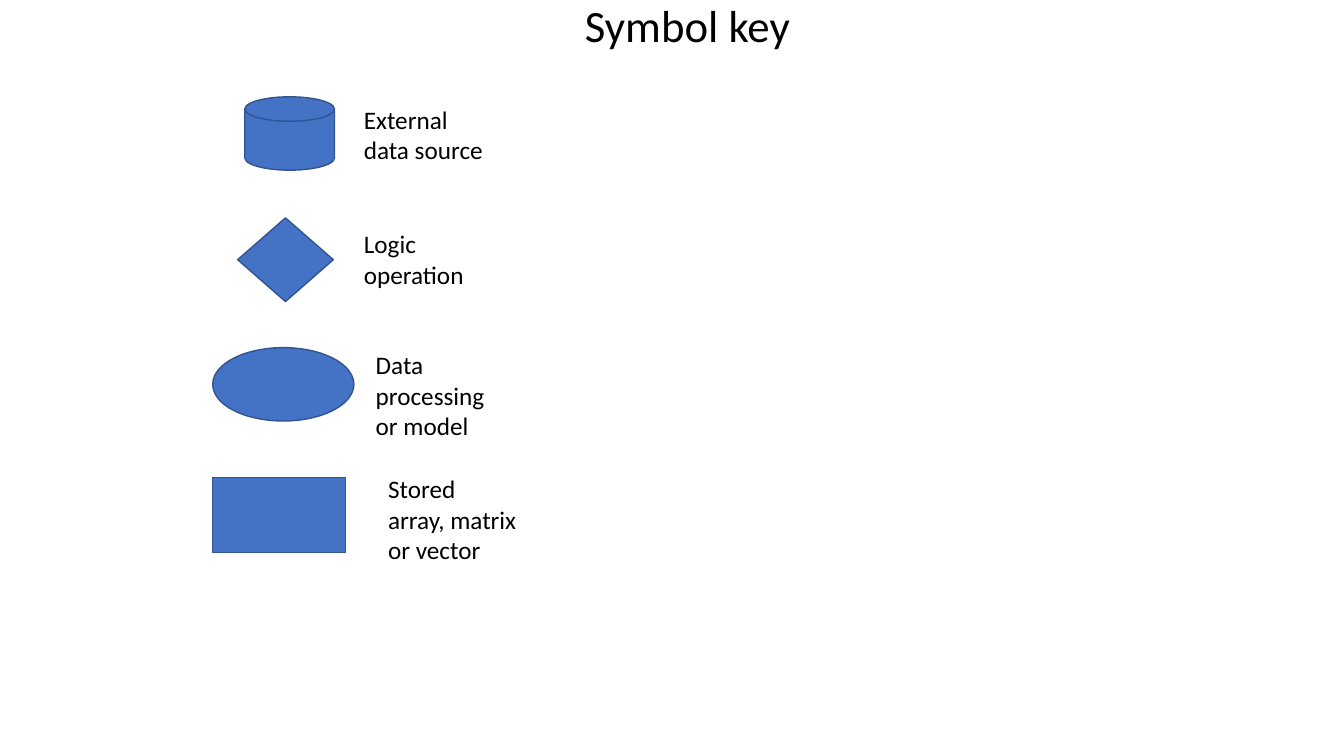
from pptx import Presentation
from pptx.dml.color import RGBColor
from pptx.enum.shapes import MSO_SHAPE
from pptx.enum.text import MSO_ANCHOR, PP_ALIGN
from pptx.util import Cm, Pt

DISK = MSO_SHAPE.FLOWCHART_MAGNETIC_DISK
DIAMOND = MSO_SHAPE.DIAMOND
OVAL = MSO_SHAPE.OVAL
RECTANGLE = MSO_SHAPE.RECTANGLE
TOP = MSO_ANCHOR.TOP
LEFT = PP_ALIGN.LEFT
CENTER = PP_ALIGN.CENTER

TITLE_ONLY = 5
FONT = "Calibri"
LABEL_WIDTH = 3.76

KEY = [
    (DISK, (6.17, 2.44, 2.26, 1.85), "External data source", (8.92, 2.51, 1.8)),
    (DIAMOND, (5.99, 5.49, 2.41, 2.11), "Logic operation", (8.92, 5.64, 1.8)),
    (OVAL, (5.36, 8.76, 3.56, 1.85), "Data processing or model", (9.22, 8.69, 2.57)),
    (RECTANGLE, (5.36, 12.04, 3.35, 1.88), "Stored array, matrix or vector", (9.53, 11.81, 2.57)),
]


def color(hex_value):
    return RGBColor.from_string(hex_value)


def write(shape, text, size, align):
    tf = shape.text_frame
    tf.word_wrap = True
    tf.vertical_anchor = TOP
    p = tf.paragraphs[0]
    p.text = text
    p.alignment = align
    p.font.name = FONT
    p.font.size = Pt(size)
    p.font.color.rgb = color("000000")


def add_title(s, text):
    title = s.shapes.title
    title.left, title.top, title.width, title.height = map(Cm, (13.31, -0.18, 8.03, 1.63))
    write(title, text, 32, CENTER)


def add_symbol(s, kind, box):
    symbol = s.shapes.add_shape(kind, *map(Cm, box))
    symbol.shadow.inherit = False
    symbol.fill.solid()
    symbol.fill.fore_color.rgb = color("4472C4")
    symbol.line.color.rgb = color("325491")
    symbol.line.width = Pt(1)


def add_label(s, text, left, top, height):
    label = s.shapes.add_textbox(Cm(left), Cm(top), Cm(LABEL_WIDTH), Cm(height))
    write(label, text, 18, LEFT)


def main():
    prs = Presentation()
    prs.slide_width, prs.slide_height = Cm(33.87), Cm(19.05)
    s = prs.slides.add_slide(prs.slide_layouts[TITLE_ONLY])
    add_title(s, "Symbol key")
    for kind, box, text, place in KEY:
        add_symbol(s, kind, box)
        add_label(s, text, *place)
    prs.save("out.pptx")


if __name__ == "__main__":
    main()
